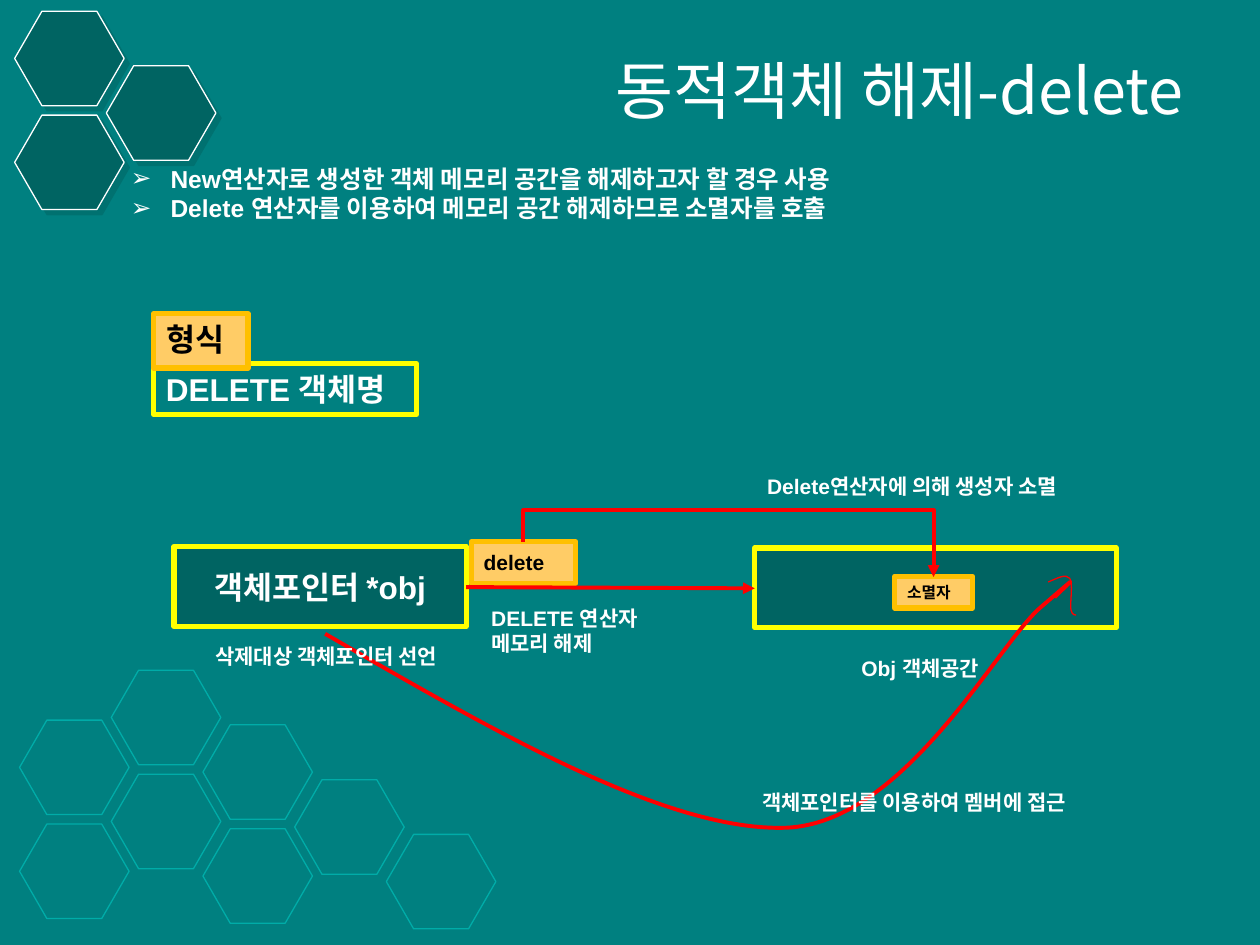
from lxml import etree
from pptx import Presentation
from pptx.dml.color import RGBColor
from pptx.enum.shapes import MSO_CONNECTOR, MSO_SHAPE
from pptx.enum.text import MSO_ANCHOR, PP_ALIGN
from pptx.oxml import parse_xml
from pptx.oxml.ns import nsdecls, qn
from pptx.util import Pt

HEXAGON, RECTANGLE = MSO_SHAPE.HEXAGON, MSO_SHAPE.RECTANGLE
STRAIGHT, ELBOW = MSO_CONNECTOR.STRAIGHT, MSO_CONNECTOR.ELBOW
TOP, MIDDLE = MSO_ANCHOR.TOP, MSO_ANCHOR.MIDDLE
LEFT, CENTER, RIGHT = PP_ALIGN.LEFT, PP_ALIGN.CENTER, PP_ALIGN.RIGHT

COLORS = {
    "background": "008080", "dark": "006462", "outline": "00ACA8", "white": "FFFFFF",
    "black": "000000", "yellow": "FFFF00", "orange": "FFCC66", "amber": "FFC000",
    "red": "FF0000",
}
HEX_WIDTH, HEX_HEIGHT = 62.6, 54
HEX_PITCH, HEX_STEP = 52.4, 59.4

# Honeycombs: left edge, fill, line, then (top, count) for each column
HONEYCOMBS = [
    (11.2, None, "outline", [(411.5, 2), (383, 2), (414.2, 2), (445.6, 1), (476.8, 1)]),
    (8.4, "dark", "white", [(6.4, 2), (37.6, 1)]),
]
TITLE = "동적객체 해제-delete"
BULLETS = [
    "New연산자로 생성한 객체 메모리 공간을 해제하고자 할 경우 사용",
    "Delete 연산자를 이용하여 메모리 공간 해제하므로 소멸자를 호출",
]
# Boxes: text, place, size, anchor, alignment, style
STYLES = {
    "frame": (None, "yellow", "white"),
    "panel": ("dark", "yellow", "white"),
    "tag": ("orange", "amber", "black"),
}
BOXES = [
    ("DELETE 객체명", (87.8, 207.8, 150.3, 29), 18, TOP, LEFT, "frame"),
    ("형식", (87.8, 179.3, 54, 31), 18, TOP, LEFT, "tag"),
    ("객체포인터 *obj", (99.4, 312.5, 167, 45.4), 18, MIDDLE, CENTER, "panel"),
    ("delete", (269.3, 309.6, 59.8, 23.8), 12, MIDDLE, LEFT, "tag"),
    ("", (431.3, 313.2, 206.6, 45.4), 12, MIDDLE, LEFT, "panel"),
    ("소멸자", (511.2, 329.4, 44.6, 18), 9, MIDDLE, LEFT, "tag"),
]
LABELS = [
    (["Delete연산자에 의해 생성자 소멸"], (431.3, 267.1, 194.4, 21.6)),
    (["삭제대상 객체포인터 선언"], (115.9, 364.3, 154.8, 21.6)),
    (["객체포인터를 이용하여 멤버에 접근"], (428.4, 447.8, 206.6, 21.6)),
    (["Obj 객체공간"], (485.1, 370.8, 86.4, 21.6)),
    (["DELETE 연산자", "메모리 해제"], (273.6, 342.4, 102.2, 36)),
]
# Curves: line width, start point, then cubic pieces (two controls and an end)
CURVES = [
    (2.25, (185.8, 362.2), [
        ((283, 418.3), (380.9, 475.2), (449.3, 473)),
        ((517, 470.2), (569.5, 368.6), (594.7, 347)),
        ((620.6, 324.7), (611.3, 332.6), (602.6, 341.3))]),
    (0.75, (599, 332.6), [
        ((604.1, 330.5), (609.1, 327.6), (611.3, 330.5)),
        ((613.4, 333.4), (611.3, 344.9), (612, 348.5)),
        ((612.7, 352.1), (614.9, 351.4), (614.9, 351.4))]),
]


def color(name):
    return RGBColor.from_string(COLORS[name])


def points(values):
    return [Pt(value) for value in values]


def paint(shape, fill, line, width):
    shape.shadow.inherit = False
    if fill:
        shape.fill.solid()
        shape.fill.fore_color.rgb = color(fill)
    else:
        shape.fill.background()
    shape.line.color.rgb = color(line)
    shape.line.width = Pt(width)


def write(shape, lines, size, ink="white", font="Arial", bold=True,
          align=LEFT, anchor=TOP, wrap=True, bullet=None):
    frame = shape.text_frame
    frame.word_wrap = wrap
    frame.vertical_anchor = anchor
    frame.text = "\n".join(lines)
    for para in frame.paragraphs:
        para.alignment = align
        if bullet:
            properties = para._p.get_or_add_pPr()
            properties.set("marL", str(Pt(22.7)))
            properties.set("indent", str(-Pt(22.7)))
            etree.SubElement(properties, qn("a:buFont"), typeface="Arial")
            etree.SubElement(properties, qn("a:buChar"), char=bullet)
        for span in para.runs:
            span.font.name = font
            span.font.size = Pt(size)
            span.font.bold = bold
            span.font.color.rgb = color(ink)
            span.font._element.set("kern", "0")
            east_asian = etree.Element(qn("a:ea"), typeface="Noto Sans CJK KR")
            span.font._element.find(qn("a:latin")).addnext(east_asian)


def add_shadow(shape):
    effects = shape._element.spPr.find(qn("a:effectLst"))
    effects.append(parse_xml(
        f'<a:outerShdw {nsdecls("a")} dist="{Pt(4.2)}" dir="2700000" algn="ctr">'
        f'<a:srgbClr val="{COLORS["dark"]}"><a:alpha val="50000"/></a:srgbClr></a:outerShdw>'))


def add_arrow(page, kind, ends):
    arrow = page.shapes.add_connector(kind, *points(ends))
    arrow.line.color.rgb = color("red")
    arrow.line.width = Pt(2.25)
    etree.SubElement(arrow.line._get_or_add_ln(), qn("a:tailEnd"), type="triangle")
    etree.SubElement(arrow._element.spPr, qn("a:effectLst"))
    return arrow


def add_curve(page, start, pieces):
    """Lay out all curve points, then join every three into one cubic piece."""
    builder = page.shapes.build_freeform(*points(start), scale=1.0)
    builder.add_line_segments([points(point) for piece in pieces for point in piece], close=False)
    curve = builder.convert_to_shape()
    segments = list(curve._element.iter(qn("a:lnTo")))
    for first in range(0, len(segments), 3):
        cubic = etree.Element(qn("a:cubicBezTo"))
        segments[first].addprevious(cubic)
        for segment in segments[first:first + 3]:
            cubic.append(segment[0])
            segment.getparent().remove(segment)
    return curve


deck = Presentation()
deck.slide_width, deck.slide_height = Pt(720), Pt(540)
page = deck.slides.add_slide(deck.slide_layouts[6])
page.background.fill.solid()
page.background.fill.fore_color.rgb = color("background")

# Honeycombs
for left, fill, line, columns in HONEYCOMBS:
    for column, (top, count) in enumerate(columns):
        for row in range(count):
            cell = page.shapes.add_shape(HEXAGON, *points(
                (left + column * HEX_PITCH, top + row * HEX_STEP, HEX_WIDTH, HEX_HEIGHT)))
            cell.adjustments[0] = 0.289
            paint(cell, fill, line, 0.75)
            if fill:
                add_shadow(cell)

# Title and bullets
title = page.shapes.add_textbox(*points((141.8, 25.9, 541.5, 62.6)))
write(title, [TITLE], 36, font="Noto Sans CJK KR", bold=False, align=RIGHT)
summary = page.shapes.add_textbox(*points((67.7, 90, 450.7, 41)))
write(summary, BULLETS, 14, wrap=False, bullet="➢")

# Boxes
for text, place, size, anchor, align, style in BOXES:
    fill, line, ink = STYLES[style]
    box = page.shapes.add_shape(RECTANGLE, *points(place))
    paint(box, fill, line, 3)
    if text:
        write(box, [text], size, ink, align=align, anchor=anchor)

# Arrows: the elbow is laid out upright, then turned a quarter
add_arrow(page, STRAIGHT, (266.4, 335.5, 431.3, 336.2))
elbow = add_arrow(page, ELBOW, (426.2, 202.3, 406.1, 437))
elbow._element.spPr.find(qn("a:xfrm")).set("rot", "16200000")
guides = elbow._element.spPr.find(qn("a:prstGeom")).get_or_add_avLst()
etree.SubElement(guides, qn("a:gd"), name="adj1", fmla="val -89300")

# Curves
for width, start, pieces in CURVES:
    paint(add_curve(page, start, pieces), None, "red", width)

# Labels
for lines, place in LABELS:
    write(page.shapes.add_textbox(*points(place)), lines, 12, wrap=False)

deck.save("out.pptx")
